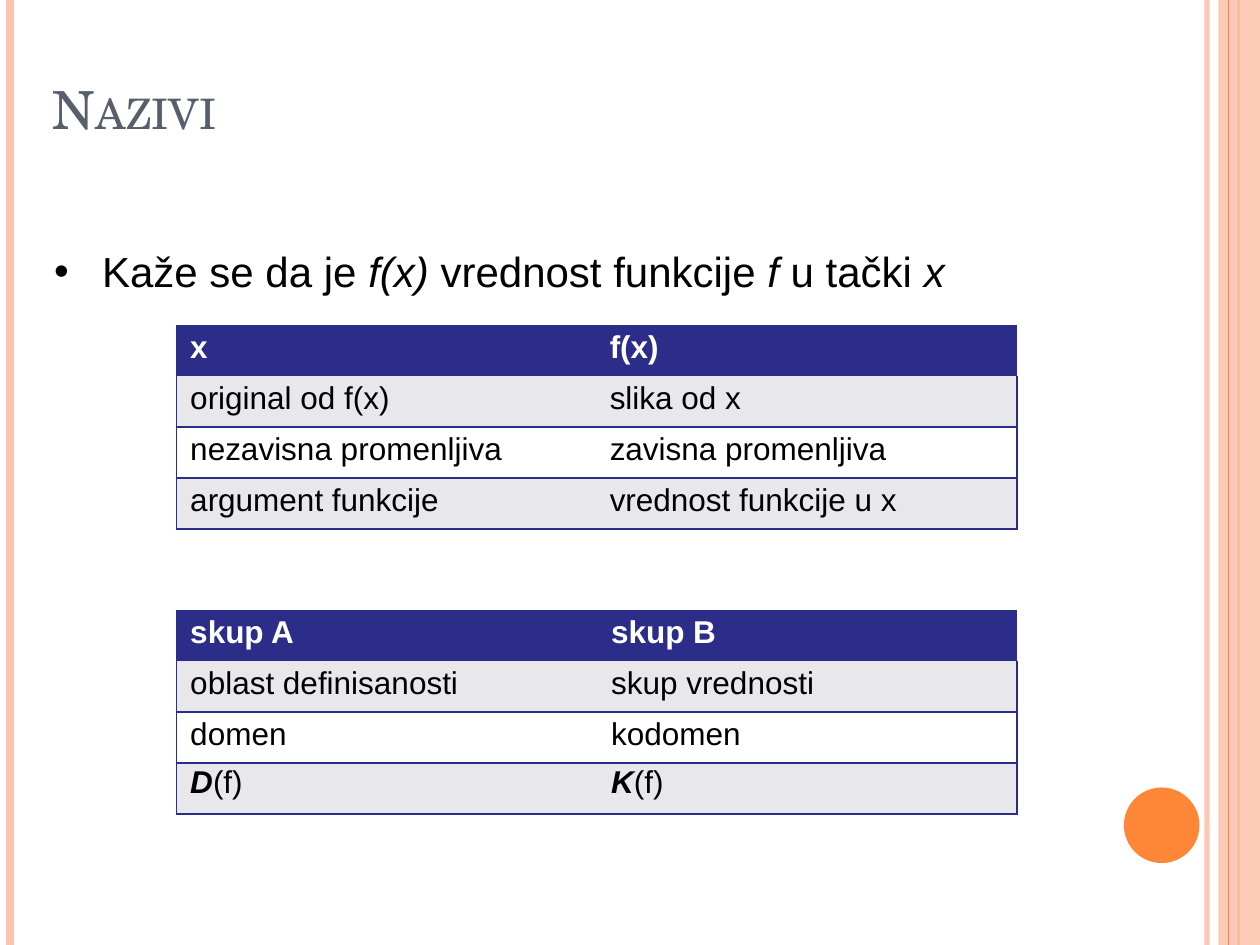
from pptx import Presentation
from pptx.dml.color import RGBColor
from pptx.enum.shapes import MSO_CONNECTOR, MSO_SHAPE
from pptx.enum.text import MSO_ANCHOR
from pptx.oxml.ns import qn
from pptx.util import Inches, Pt
from lxml.etree import SubElement

THEME = {
    "serif": "TeX Gyre Schola", "sans": "Arial",
    "title_size": 30, "body_size": 24, "cell_size": 18,
    "slate": "575F6D", "black": "000000", "white": "FFFFFF",
    "navy": "2C2C89", "band": "E8E8EC", "orange": "FE8637", "peach": "FEC3AE",
}
NO_TABLE_STYLE = "{2D5ABB26-0587-4C30-8999-92F81FD0307C}"

TITLE = "Nazivi"
STATEMENT = [("Kaže se da je ", ""), ("f(x)", "i"), (" vrednost funkcije ", ""),
             ("f", "i"), (" u tački ", ""), ("x", "i")]
TABLES = [
    {"top": 2.58, "columns": (3.07, 3.6), "indents": (0.11, 0.37), "rows": [
        ([("x", "b")], [("f(x)", "b")]),
        ([("original od f(x)", "")], [("slika od x", "")]),
        ([("nezavisna promenljiva", "")], [("zavisna promenljiva", "")]),
        ([("argument funkcije", "")], [("vrednost funkcije u x", "")])]},
    {"top": 4.84, "columns": (2.77, 3.9), "indents": (0.11, 0.68), "rows": [
        ([("skup A", "b")], [("skup B", "b")]),
        ([("oblast definisanosti", "")], [("skup vrednosti", "")]),
        ([("domen", "")], [("kodomen", "")]),
        ([("D", "bi"), ("(f)", "")], [("K", "bi"), ("(f)", "")])]},
]
TABLE_LEFT, ROW_HEIGHT = 1.4, 0.405
BACK_STRIPES = [(9.58, "peach", 3, 93), (0.08, "peach", 4.5, 100), (9.83, "orange", 1.5, 100)]
FRONT_STRIPES = [(9.75, "orange", 0.75, 100)]


def color(name):
    """Return a theme colour."""
    return RGBColor.from_string(THEME[name])


def set_opacity(shape, percent):
    """Make the coloured part of a shape partly transparent."""
    if percent < 100:
        tint = next(shape._element.spPr.iter(qn("a:srgbClr")))
        SubElement(tint, qn("a:alpha"), val=str(percent * 1000))


def add_stripes(slide, stripes):
    """Draw full-height vertical lines."""
    for x, tone, width, opacity in stripes:
        stripe = slide.shapes.add_connector(
            MSO_CONNECTOR.STRAIGHT, Inches(x), 0, Inches(x), Inches(7.5))
        stripe.line.color.rgb = color(tone)
        stripe.line.width = Pt(width)
        set_opacity(stripe, opacity)
        SubElement(stripe._element.spPr, qn("a:effectLst"))


def add_panel(slide, preset, box, tone, opacity=100):
    """Draw a plain filled shape."""
    panel = slide.shapes.add_shape(preset, *map(Inches, box))
    panel.shadow.inherit = False
    panel.fill.solid()
    panel.fill.fore_color.rgb = color(tone)
    panel.line.fill.background()
    set_opacity(panel, opacity)


def write(paragraph, pieces, face, size, tone):
    """Fill a paragraph with styled runs."""
    for words, style in pieces:
        run = paragraph.add_run()
        run.text = words
        run.font.name = THEME[face]
        run.font.size = Pt(THEME[size])
        run.font.color.rgb = color(tone)
        run.font.bold = "b" in style
        run.font.italic = "i" in style


def add_text(slide, box, pieces, face, size, tone):
    """Add a text box without side margins and return its frame."""
    frame = slide.shapes.add_textbox(*map(Inches, box)).text_frame
    frame.word_wrap = True
    frame.margin_left = frame.margin_right = frame.margin_bottom = 0
    frame.margin_top = Inches(0.01)
    write(frame.paragraphs[0], pieces, face, size, tone)
    return frame


def add_borders(cell, sides):
    """Rule the given sides of a cell in navy."""
    for side in sides:
        rule = SubElement(cell._tc.get_or_add_tcPr(), qn(f"a:ln{side}"), w=str(Pt(1)))
        fill = SubElement(rule, qn("a:solidFill"))
        SubElement(fill, qn("a:srgbClr"), val=THEME["navy"])


def add_term_table(slide, top, columns, indents, rows):
    """Build a two-column table of paired terms."""
    table = slide.shapes.add_table(
        len(rows), len(columns), Inches(TABLE_LEFT), Inches(top),
        Inches(sum(columns)), Inches(ROW_HEIGHT * len(rows))).table
    table._tbl.tblPr.find(qn("a:tableStyleId")).text = NO_TABLE_STYLE
    for column, width in zip(table.columns, columns):
        column.width = Inches(width)
    for r, terms in enumerate(rows):
        table.rows[r].height = Inches(ROW_HEIGHT)
        for c, pieces in enumerate(terms):
            cell = table.cell(r, c)
            cell.margin_left = Inches(indents[c])
            cell.margin_right = cell.margin_bottom = 0
            cell.margin_top = Inches(0.04 if len(pieces) == 1 else 0.02)
            if r:
                add_borders(cell, "LR"[c] + ("TB" if r > 1 else "B"))
            if r == 2:
                cell.fill.background()
            else:
                cell.fill.solid()
                cell.fill.fore_color.rgb = color("band" if r else "navy")
            write(cell.text_frame.paragraphs[0], pieces, "sans", "cell_size",
                  "black" if r else "white")


def main():
    """Build and save the slide."""
    deck = Presentation()
    deck.slide_width, deck.slide_height = Inches(10), Inches(7.5)
    slide = deck.slides.add_slide(deck.slide_layouts[6])

    add_stripes(slide, BACK_STRIPES)
    add_panel(slide, MSO_SHAPE.RECTANGLE, (9.67, 0, 0.33, 7.5), "peach", 87)
    add_stripes(slide, FRONT_STRIPES)
    add_panel(slide, MSO_SHAPE.OVAL, (8.92, 6.25, 0.6, 0.6), "orange")

    heading = add_text(slide, (0.42, 0.48, 1.39, 0.63), [(TITLE, "")],
                       "serif", "title_size", "slate")
    heading.vertical_anchor = MSO_ANCHOR.BOTTOM
    heading.paragraphs[0].runs[0].font._element.set("cap", "small")

    statement = add_text(slide, (0.42, 1.94, 8.11, 0.43), STATEMENT,
                         "sans", "body_size", "black")
    bullet = statement.paragraphs[0]._p.get_or_add_pPr()
    bullet.set("marL", str(Inches(0.39)))
    bullet.set("indent", str(Inches(-0.38)))
    SubElement(bullet, qn("a:buFont"), typeface=THEME["sans"])
    SubElement(bullet, qn("a:buChar"), char="•")

    for terms in TABLES:
        add_term_table(slide, **terms)
    deck.save("out.pptx")


if __name__ == "__main__":
    main()
